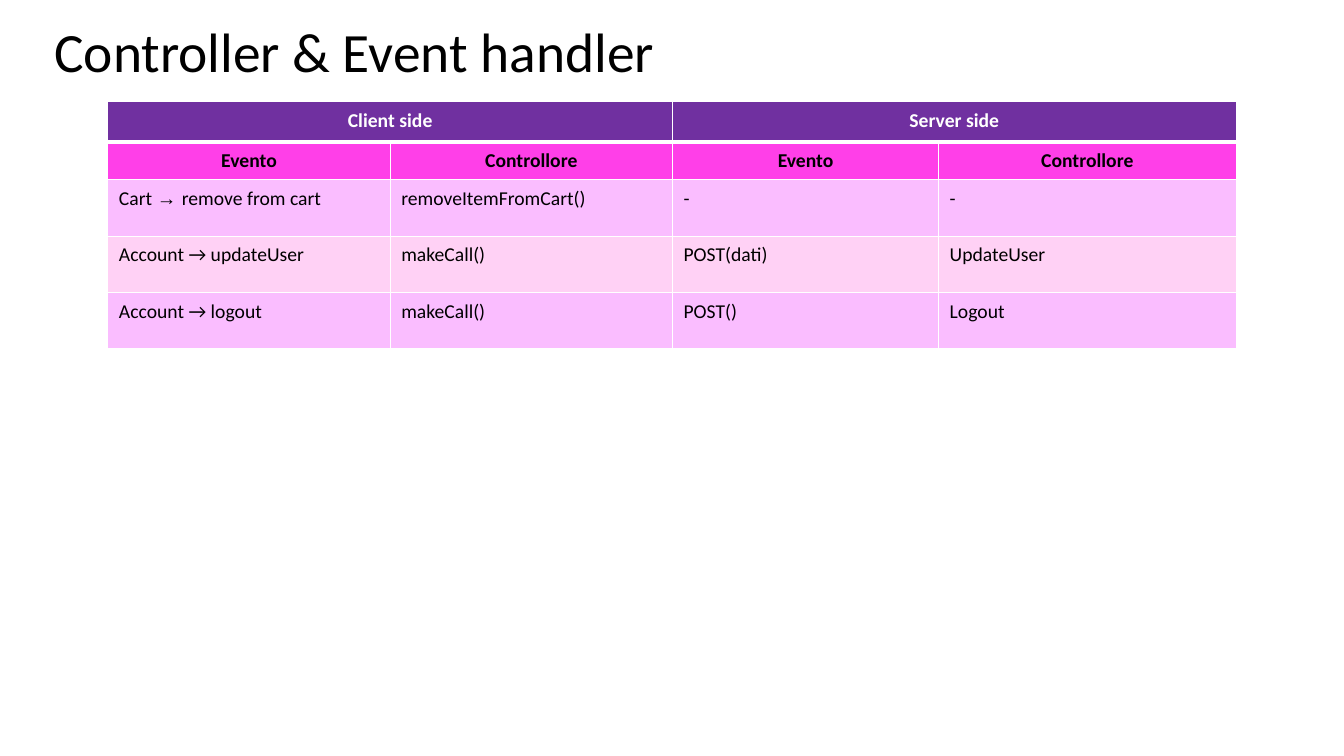
from lxml.etree import SubElement
from pptx import Presentation
from pptx.dml.color import RGBColor
from pptx.enum.text import MSO_ANCHOR, PP_ALIGN
from pptx.oxml.ns import qn
from pptx.util import Inches, Pt

COLORS = {
    "black": "000000",
    "white": "FFFFFF",
    "purple": "7030A0",
    "magenta": "FF3FE8",
    "lilac": "FABDFF",
    "pink": "FFD1F5",
}
COLUMN_WIDTHS = [2.8, 2.8, 2.64, 2.95]
ROW_HEIGHTS = [0.4, 0.35, 0.56, 0.56, 0.56]
# Each cell is a list of text pieces; arrows in a piece of their own use Arial.
ROWS = [
    [["Client side"], [], ["Server side"], []],
    [["Evento"], ["Controllore"]] * 2,
    [["Cart ", "→ ", "remove from cart"], ["removeItemFromCart()"], ["-"], ["-"]],
    [["Account → updateUser"], ["makeCall()"], ["POST(dati)"], ["UpdateUser"]],
    [["Account → logout"], ["makeCall()"], ["POST()"], ["Logout"]],
]
ROW_FILLS = ["purple", "magenta", "lilac", "pink", "lilac"]


def color(name):
    return RGBColor.from_string(COLORS[name])


def style_span(span, size, color_name, bold=False, font="Calibri"):
    span.font.name = font
    span.font.size = Pt(size)
    span.font.bold = bold
    span.font.color.rgb = color(color_name)


def add_title(page, text):
    box = page.shapes.add_textbox(Inches(0.44), Inches(0.24), Inches(11.5), Inches(0.6))
    frame = box.text_frame
    frame.word_wrap = True
    frame.vertical_anchor = MSO_ANCHOR.MIDDLE
    frame.text = text
    para = frame.paragraphs[0]
    para.line_spacing = 0.9
    style_span(para.runs[0], 39.6, "black")


def set_borders(cell, widths):
    """Draw white borders; widths maps the sides L, R, T and B to points."""
    properties = cell._tc.get_or_add_tcPr()
    for side, width in widths.items():
        line = SubElement(properties, qn(f"a:ln{side}"), w=str(Pt(width)))
        fill = SubElement(line, qn("a:solidFill"))
        SubElement(fill, qn("a:srgbClr"), val=COLORS["white"])


def fill_cell(cell, pieces, row):
    is_header = row < 2
    set_borders(cell, {"L": 1, "R": 1, "T": 3 if row == 1 else 1, "B": 3 if row == 0 else 1})
    cell.fill.solid()
    cell.fill.fore_color.rgb = color(ROW_FILLS[row])
    cell.margin_left = cell.margin_right = Inches(0.11)
    cell.margin_top = cell.margin_bottom = Inches(0.07)
    para = cell.text_frame.paragraphs[0]
    para.alignment = PP_ALIGN.CENTER if is_header else PP_ALIGN.LEFT
    para.font.size = Pt(14)
    for piece in pieces:
        span = para.add_run()
        span.text = piece
        font = "Arial" if piece.strip() == "→" else "Calibri"
        style_span(span, 14, "white" if row == 0 else "black", is_header, font)


def add_event_table(page):
    frame = page.shapes.add_table(
        len(ROWS), len(COLUMN_WIDTHS), Inches(1.07), Inches(1.01),
        Inches(sum(COLUMN_WIDTHS)), Inches(sum(ROW_HEIGHTS)))
    table = frame.table
    for column, width in zip(table.columns, COLUMN_WIDTHS):
        column.width = Inches(width)
    for row, height in zip(table.rows, ROW_HEIGHTS):
        row.height = Inches(height)
    for first in (0, 2):
        table.cell(0, first).merge(table.cell(0, first + 1))
    for row, cells in enumerate(ROWS):
        for column, pieces in enumerate(cells):
            fill_cell(table.cell(row, column), pieces, row)


def main():
    deck = Presentation()
    deck.slide_width = Inches(13.33)
    deck.slide_height = Inches(7.5)
    page = deck.slides.add_slide(deck.slide_layouts[6])
    add_title(page, "Controller & Event handler")
    add_event_table(page)
    deck.save("out.pptx")


if __name__ == "__main__":
    main()
